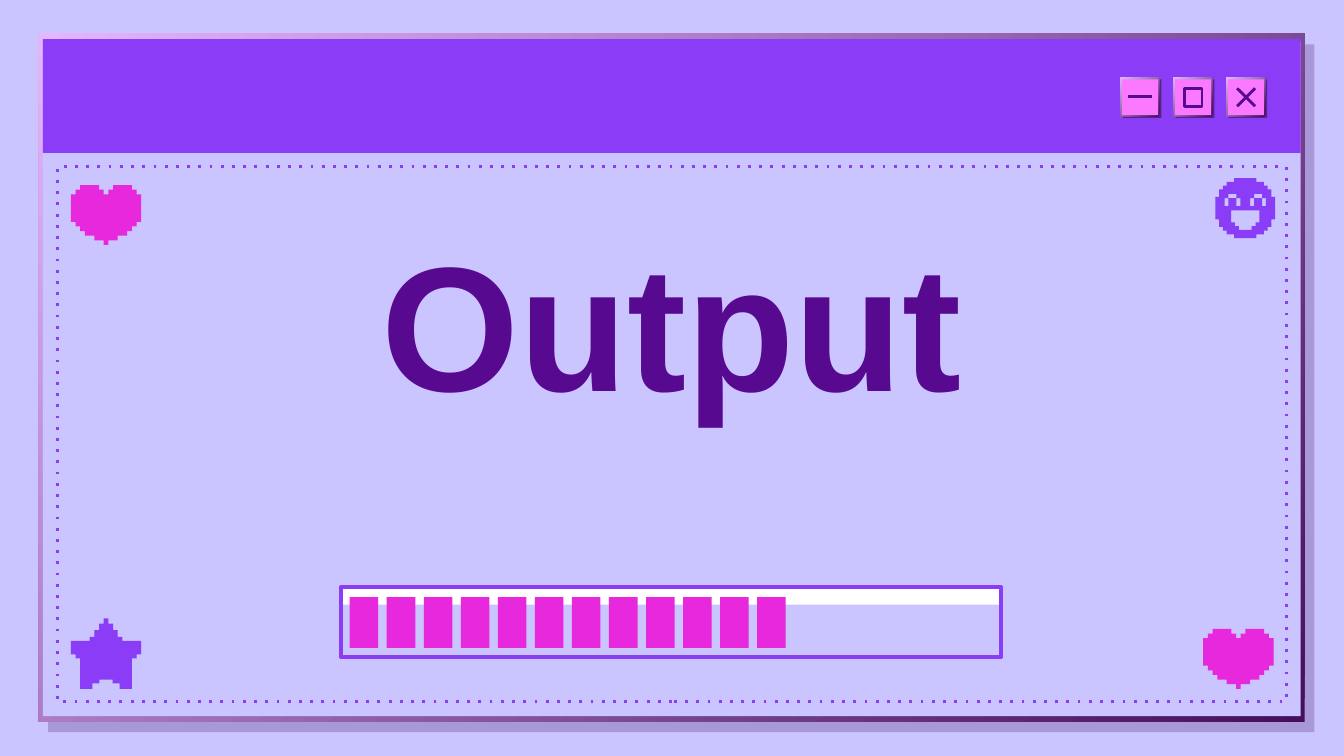
from dataclasses import dataclass

from lxml import etree
from pptx import Presentation
from pptx.dml.color import RGBColor
from pptx.enum import shapes, text
from pptx.oxml import ns
from pptx.util import Cm, Pt

LILAC, VIOLET, PURPLE = "CAC4FF", "8A3CF6", "570990"
DARK, PALE, PINK, MAGENTA = "440F5C", "E4B6FE", "FA79FF", "E728DC"


@dataclass(frozen=True)
class Box:
    """Left, top, width and height in centimetres."""
    x: float
    y: float
    w: float
    h: float

    def lengths(self):
        return Cm(self.x), Cm(self.y), Cm(self.w), Cm(self.h)


@dataclass(frozen=True)
class Sprite:
    """Left halves of symmetric contours on a grid of cols by rows."""
    cols: int
    rows: int
    halves: tuple
    pairs: tuple = ()  # whole contours that appear on both sides

    def contours(self):
        def mirror(points):
            return [(self.cols - x, y) for x, y in reversed(points)]

        for half in self.halves:
            yield half + mirror(half)
        for contour in self.pairs:
            yield contour
            yield mirror(contour)


HEART = Sprite(15, 13, ([
    (7, 2), (7, 1), (6, 1), (6, 0), (2, 0), (2, 1), (1, 1), (1, 2), (0, 2), (0, 8),
    (1, 8), (1, 9), (2, 9), (2, 10), (3, 10), (3, 11), (5, 11), (5, 12), (7, 12), (7, 13)],))
STAR = Sprite(15, 16, ([
    (7, 0), (7, 1.2), (6, 1.2), (6, 2.7), (5, 2.7), (5, 4.2), (4, 4.2), (4, 5.1), (0, 5.1),
    (0, 8.2), (1, 8.2), (1, 9.1), (2, 9.1), (2, 16), (4.6, 16), (4.6, 14.8), (6.1, 14.8),
    (6.1, 13.9)],))
SMILEY = Sprite(16, 16, (
    [(5, 0), (5, 1), (3, 1), (3, 2), (2, 2), (2, 3), (1, 3), (1, 5), (0, 5), (0, 11),
     (1, 11), (1, 13), (2, 13), (2, 14), (3, 14), (3, 15), (5, 15), (5, 16)],
    [(4.2, 8.6), (4.2, 11.8), (5.2, 11.8), (5.2, 12.8), (6.3, 12.8), (6.3, 13.8)],
), ([(5.6, 4.2), (5.6, 5.3), (6.7, 5.3), (6.7, 7.5), (5.6, 7.5), (5.6, 5.3),
     (3.5, 5.3), (3.5, 7.5), (2.5, 7.5), (2.5, 5.3), (3.5, 5.3), (3.5, 4.2)],))


def rgb(value: str) -> RGBColor:
    return RGBColor.from_string(value)


def add_rect(slide, box: Box, fill=None, line=None, weight=1.5, alpha=None, dash=None):
    s = slide.shapes.add_shape(shapes.MSO_SHAPE.RECTANGLE, *box.lengths())
    s.shadow.inherit = False
    if fill:
        s.fill.solid()
        s.fill.fore_color.rgb = rgb(fill)
    else:
        s.fill.background()
    if line:
        s.line.color.rgb = rgb(line)
        s.line.width = Pt(weight)
    else:
        s.line.fill.background()
    sp_pr = s._element.spPr
    if alpha:
        color = sp_pr.find(ns.qn("a:solidFill"))[0]
        etree.SubElement(color, ns.qn("a:alpha"), val=str(alpha * 1000))
    if dash:
        etree.SubElement(sp_pr.find(ns.qn("a:ln")), ns.qn("a:prstDash"), val=dash)
    return s


def add_bevel(slide, box: Box):
    """Rectangle shaded from pale at top left to dark at bottom right."""
    s = add_rect(slide, box)
    s.fill.gradient()
    s.fill.gradient_angle = 135
    for stop, color in zip(s.fill.gradient_stops, (DARK, PALE)):
        stop.color.rgb = rgb(color)


def add_line(slide, x1: float, y1: float, x2: float, y2: float):
    c = slide.shapes.add_connector(
        shapes.MSO_CONNECTOR.STRAIGHT, Cm(x1), Cm(y1), Cm(x2), Cm(y2))
    c.line.color.rgb = rgb(PURPLE)
    c.line.width = Pt(1.5)
    etree.SubElement(c._element.spPr, ns.qn("a:effectLst"))


def add_sprite(slide, sprite: Sprite, box: Box, color: str):
    builder = None
    for contour in sprite.contours():
        points = [(Cm(box.x + x * box.w / sprite.cols), Cm(box.y + y * box.h / sprite.rows))
                  for x, y in contour]
        if builder is None:
            builder = slide.shapes.build_freeform(*points[0])
        else:
            builder.move_to(*points[0])
        builder.add_line_segments(points[1:], close=True)
    s = builder.convert_to_shape()
    s.shadow.inherit = False
    s.fill.solid()
    s.fill.fore_color.rgb = rgb(color)
    s.line.fill.background()


def add_text(slide, content: str, box: Box, *, size, color, font="Arial", bold=False,
             spacing=1.0, inset=0.25, top_inset=0.25):
    tf = slide.shapes.add_textbox(*box.lengths()).text_frame
    tf.word_wrap = True
    tf.vertical_anchor = text.MSO_ANCHOR.TOP
    tf.margin_left = tf.margin_right = tf.margin_bottom = Cm(inset)
    tf.margin_top = Cm(top_inset)
    p = tf.paragraphs[0]
    p.alignment = text.PP_ALIGN.CENTER
    p.line_spacing = spacing
    r = p.add_run()
    r.text = content
    r.font.name, r.font.size, r.font.bold = font, Pt(size), bold
    r.font.color.rgb = rgb(color)


def add_window(slide):
    add_rect(slide, Box(0.91, 0.84, 23.93, 13), DARK, alpha=24)
    add_bevel(slide, Box(0.73, 0.64, 23.93, 13))
    add_rect(slide, Box(0.81, 0.79, 23.77, 12.75), LILAC)
    add_rect(slide, Box(1.09, 3.15, 23.22, 10.11), line=VIOLET, dash="dot")
    add_rect(slide, Box(0.81, 0.74, 23.77, 2.15), VIOLET)


def add_window_buttons(slide):
    left, top, pitch = 21.18, 1.47, 1
    minimize, maximize, close = (left + i * pitch for i in range(3))
    for x in (minimize, maximize, close):
        add_rect(slide, Box(x + 0.04, top + 0.03, 0.73, 0.73), DARK, alpha=65)
        add_bevel(slide, Box(x, top, 0.73, 0.73))
        add_rect(slide, Box(x + 0.03, top + 0.03, 0.68, 0.68), PINK)
    icon, high, low = 0.34, top + 0.2, top + 0.54
    add_line(slide, minimize + 0.14, top + 0.36, minimize + 0.6, top + 0.36)
    add_rect(slide, Box(maximize + 0.2, high, icon, icon), line=PURPLE)
    x = close + 0.2
    add_line(slide, x + icon, high, x, low)
    add_line(slide, x + icon, low, x, high)


def add_progress_bar(slide):
    add_rect(slide, Box(6.48, 11.13, 12.42, 0.3), "FFFFFF")
    add_rect(slide, Box(6.45, 11.1, 12.47, 1.32), line=VIOLET, weight=2.25)
    for i in range(12):
        add_rect(slide, Box(6.61 + i * 0.7, 11.29, 0.54, 0.96), MAGENTA)


def main():
    prs = Presentation()
    prs.slide_width, prs.slide_height = Cm(25.4), Cm(14.29)
    slide = prs.slides.add_slide(prs.slide_layouts[6])
    slide.background.fill.solid()
    slide.background.fill.fore_color.rgb = rgb(LILAC)

    add_window(slide)
    add_window_buttons(slide)
    add_text(slide, "Output", Box(3.86, 4.42, 17.68, 6.53), size=95, color=PURPLE,
             bold=True, spacing=0.8, top_inset=0.4)
    add_progress_bar(slide)
    add_sprite(slide, HEART, Box(1.34, 3.5, 1.33, 1.13), MAGENTA)
    add_sprite(slide, SMILEY, Box(22.97, 3.37, 1.13, 1.13), VIOLET)
    add_sprite(slide, STAR, Box(1.34, 11.69, 1.33, 1.33), VIOLET)
    add_sprite(slide, HEART, Box(22.74, 11.89, 1.33, 1.13), MAGENTA)
    prs.save("out.pptx")


if __name__ == "__main__":
    main()
